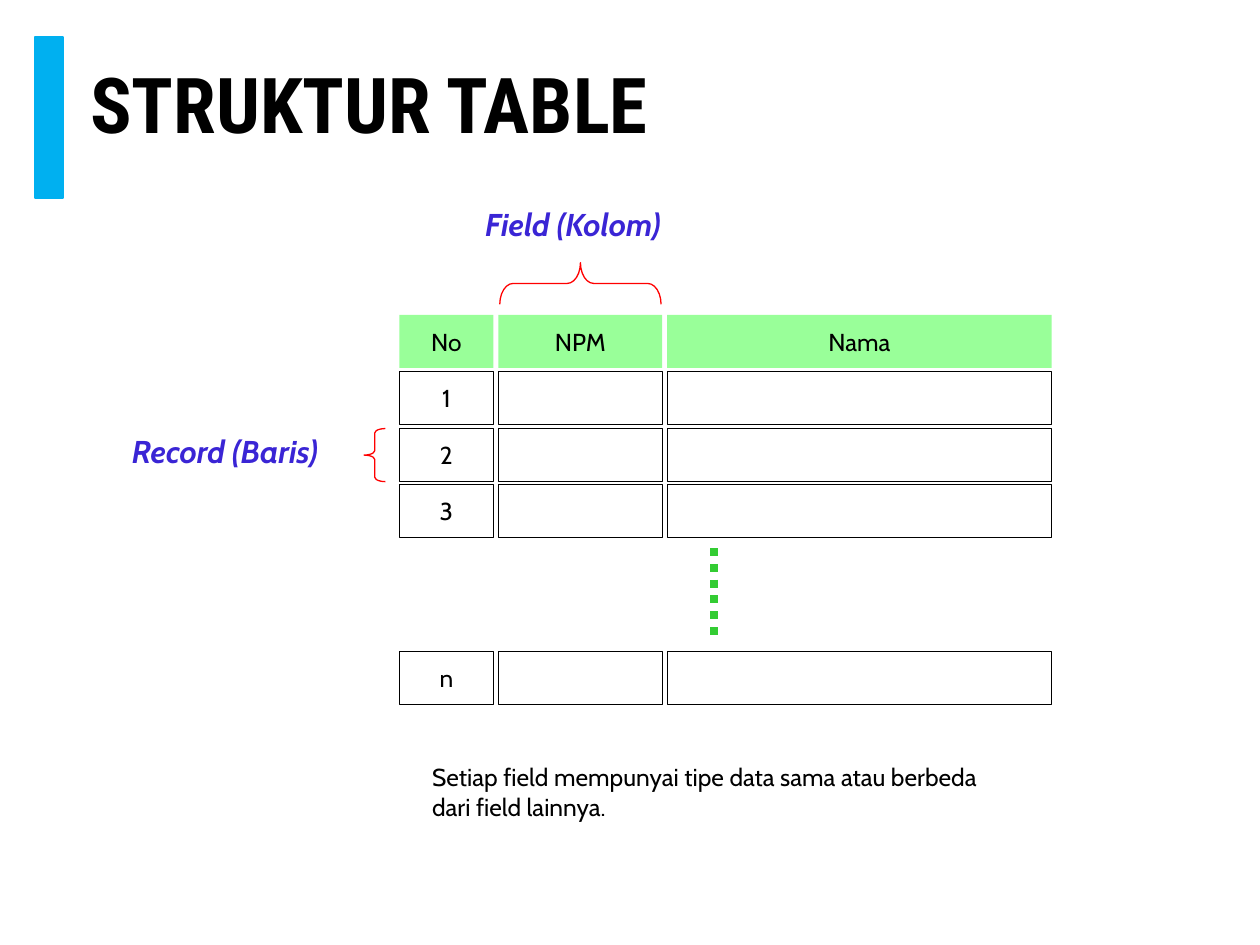
from dataclasses import dataclass
from itertools import product
from typing import Optional

from lxml.etree import SubElement
from pptx import Presentation
from pptx.dml.color import RGBColor
from pptx.enum.dml import MSO_LINE
from pptx.enum.shapes import MSO_CONNECTOR, MSO_SHAPE as Preset
from pptx.enum.text import MSO_ANCHOR as Anchor, PP_ALIGN as Align
from pptx.oxml.ns import qn
from pptx.util import Cm, Pt

COLORS = {
    "accent": "00B0F0",
    "header": "99FF99",
    "dots": "33CC33",
    "brace": "FF0000",
    "label": "3A25D5",
    "ink": "000000",
}
BODY_FONT = "Cabin"
TITLE_FONT = "Roboto Condensed"


@dataclass(frozen=True)
class Box:
    left: float
    top: float
    width: float
    height: float

    def lengths(self) -> tuple:
        return Cm(self.left), Cm(self.top), Cm(self.width), Cm(self.height)


@dataclass(frozen=True)
class Style:
    size: float = 14
    font: str = BODY_FONT
    color: str = "ink"
    bold: bool = False
    italic: bool = False


@dataclass(frozen=True)
class Brace:
    box: Box
    curve: float
    rotation: float
    label: str
    label_box: Box


@dataclass(frozen=True)
class Row:
    top: float
    texts: tuple
    is_header: bool = False


BODY = Style()
TITLE = Style(44, TITLE_FONT, bold=True)
LABEL = Style(18, color="label", bold=True, italic=True)

GAP = 0.1
ROW_HEIGHT = 1.07
ROW_PITCH = 1.14
TABLE_LEFT = 8.05
TABLE_TOP = 6.35
COLUMN_WIDTHS = (1.9, 3.3, 7.75)

ROWS = [
    Row(TABLE_TOP, ("No", "NPM", "Nama"), True),
    *(Row(TABLE_TOP + number * ROW_PITCH, (str(number), "", "")) for number in (1, 2, 3)),
    Row(13.13, ("n", "", "")),
]
BRACES = [
    Brace(Box(7.34, 8.64, 0.43, 1.07), 0.208, 0, "Record (Baris)", Box(2.41, 8.59, 4.78, 1.02)),
    Brace(Box(11.28, 4.09, 0.84, 3.25), 0.32, 90, "Field (Kolom)", Box(9.53, 4.01, 4.55, 1.02)),
]


def rgb(name: str) -> RGBColor:
    return RGBColor.from_string(COLORS[name])


def write(frame, text: str, style: Style, align=Align.LEFT, spacing: float = 1.0) -> None:
    frame.text = text
    for para in frame.paragraphs:
        para.alignment = align
        para.line_spacing = spacing
        for span in para.runs:
            font = span.font
            font.name, font.size = style.font, Pt(style.size)
            font.bold, font.italic = style.bold, style.italic
            font.color.rgb = rgb(style.color)


def add_preset(page, preset, box: Box, fill: Optional[str], line: Optional[str], weight: float = 1):
    shape = page.shapes.add_shape(preset, *box.lengths())
    shape.shadow.inherit = False
    if fill:
        shape.fill.solid()
        shape.fill.fore_color.rgb = rgb(fill)
    else:
        shape.fill.background()
    if line:
        shape.line.color.rgb = rgb(line)
        shape.line.width = Pt(weight)
    else:
        shape.line.fill.background()
    return shape


def add_text(page, box: Box, text: str, style: Style, wrap: bool = False,
             anchor=Anchor.TOP, spacing: float = 1.0) -> None:
    frame = page.shapes.add_textbox(*box.lengths()).text_frame
    frame.word_wrap = wrap
    frame.vertical_anchor = anchor
    write(frame, text, style, spacing=spacing)


def add_cell(page, row: Row, column: int) -> None:
    left = TABLE_LEFT + sum(COLUMN_WIDTHS[:column]) + column * GAP
    box = Box(left, row.top, COLUMN_WIDTHS[column], ROW_HEIGHT)
    fill, line = ("header", None) if row.is_header else (None, "ink")
    cell = add_preset(page, Preset.RECTANGLE, box, fill, line, 0.25)
    if row.texts[column]:
        frame = cell.text_frame
        frame.word_wrap = False
        frame.vertical_anchor = Anchor.MIDDLE
        write(frame, row.texts[column], BODY, Align.CENTER)


def add_brace(page, brace: Brace) -> None:
    shape = add_preset(page, Preset.LEFT_BRACE, brace.box, None, "brace", 0.75)
    shape.adjustments[0] = brace.curve
    shape.rotation = brace.rotation
    add_text(page, brace.label_box, brace.label, LABEL)


def add_dots(page, x: float, top: float, bottom: float) -> None:
    dots = page.shapes.add_connector(MSO_CONNECTOR.STRAIGHT, Cm(x), Cm(top), Cm(x), Cm(bottom))
    dots.line.color.rgb = rgb("dots")
    dots.line.width = Pt(4.5)
    dots.line.dash_style = MSO_LINE.ROUND_DOT
    SubElement(dots._element.spPr, qn("a:effectLst"))


def main() -> None:
    deck = Presentation()
    deck.slide_width, deck.slide_height = Cm(25.4), Cm(19.05)
    page = deck.slides.add_slide(deck.slide_layouts[6])

    add_preset(page, Preset.RECTANGLE, Box(0.71, 0.74, 0.56, 3.25), "accent", "accent")
    add_text(page, Box(1.57, 0.81, 20.96, 2.74), "STRUKTUR TABLE", TITLE, True, Anchor.MIDDLE, 0.9)
    for row, column in product(ROWS, range(len(COLUMN_WIDTHS))):
        add_cell(page, row, column)
    add_dots(page, 14.4, 11.05, 12.95)
    add_text(page, Box(8.46, 15.24, 12.29, 1.45),
             "Setiap field mempunyai tipe data sama atau berbeda\ndari field lainnya.", BODY)
    for brace in BRACES:
        add_brace(page, brace)

    deck.save("out.pptx")


if __name__ == "__main__":
    main()
